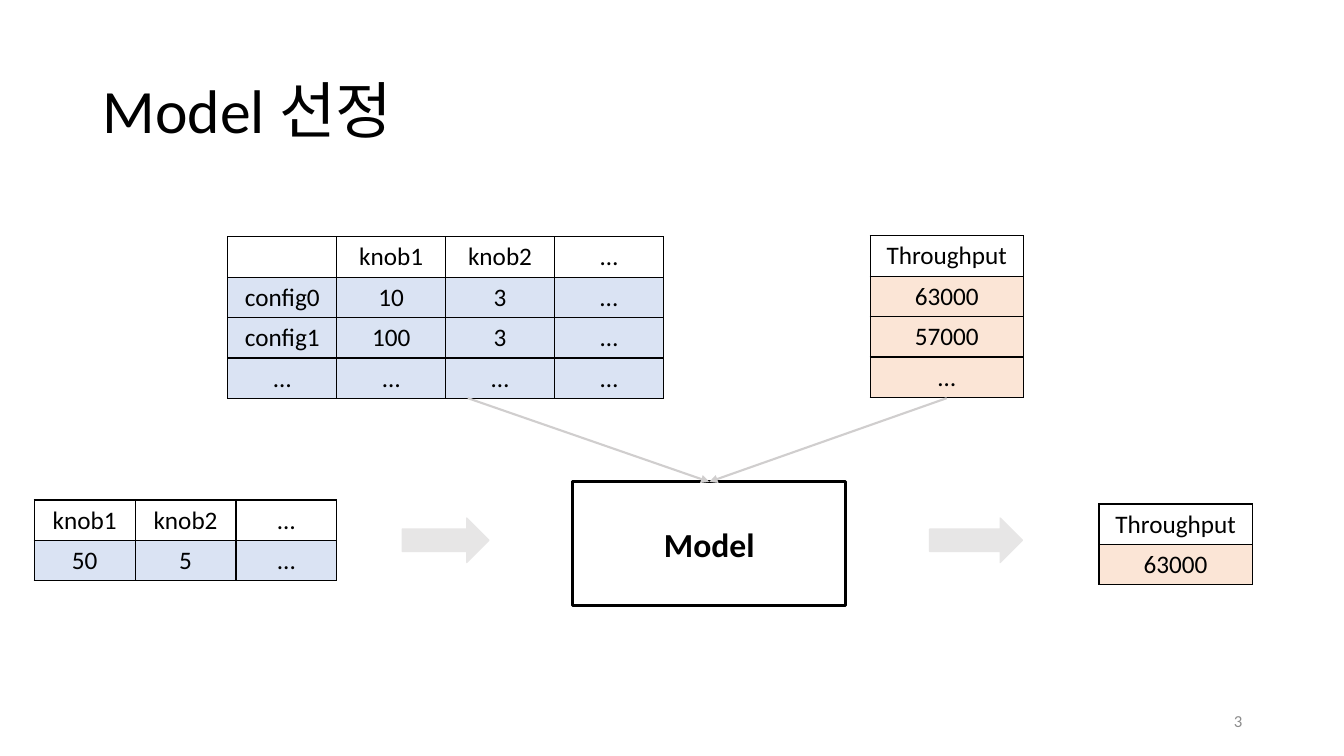
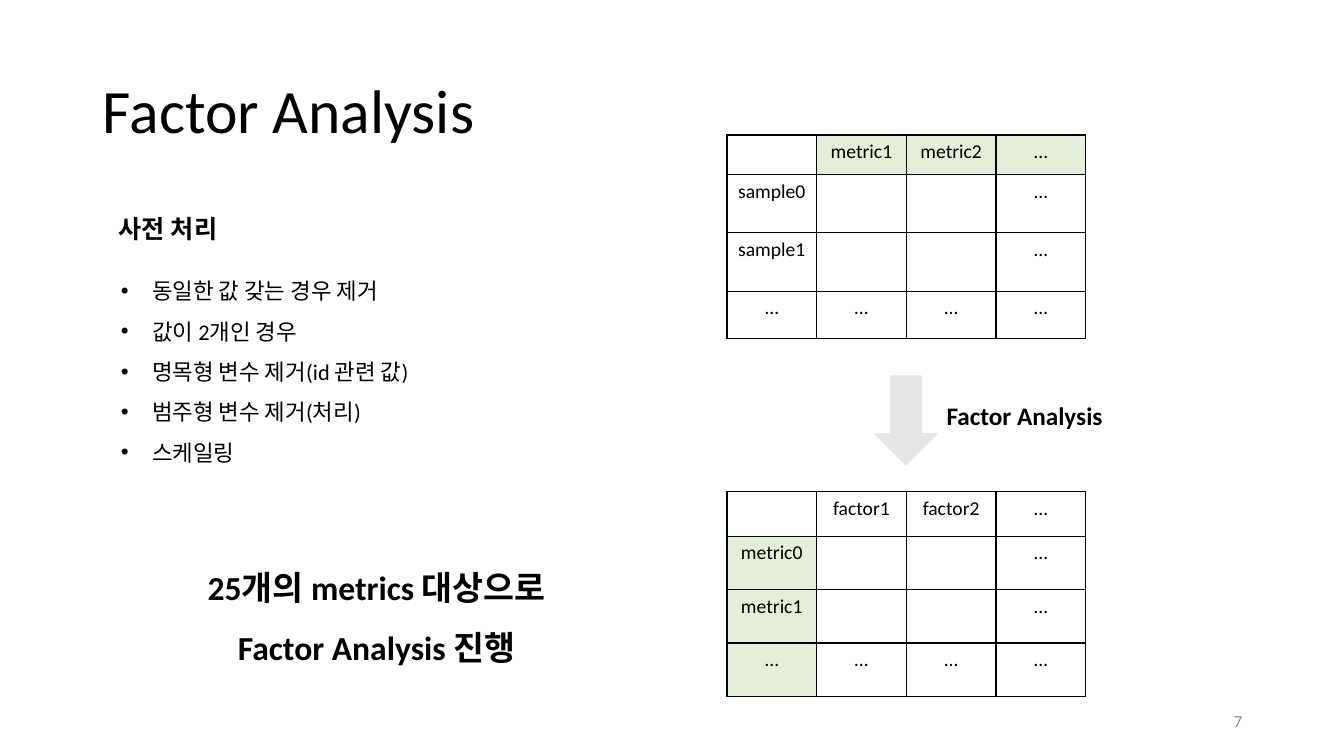
from lxml.etree import SubElement
from pptx import Presentation
from pptx.dml.color import RGBColor
from pptx.enum.shapes import MSO_CONNECTOR, MSO_SHAPE
from pptx.enum.text import MSO_ANCHOR as ANCHOR, MSO_AUTO_SIZE as AUTO, PP_ALIGN as ALIGN
from pptx.oxml.ns import qn
from pptx.util import Inches, Pt

FONT = "Calibri"
BLACK = RGBColor(0x00, 0x00, 0x00)
WHITE = RGBColor(0xFF, 0xFF, 0xFF)
BLUE = RGBColor(0xDA, 0xE3, 0xF3)
ORANGE = RGBColor(0xFB, 0xE5, 0xD6)
GREEN = RGBColor(0xE2, 0xF0, 0xD9)
ARROW_GREY = RGBColor(0xE7, 0xE6, 0xE6)
LINE_GREY = RGBColor(0xD0, 0xCE, 0xCE)
NUMBER_GREY = RGBColor(0x8C, 0x8C, 0x8C)


def style(p, size, color=BLACK, bold=False, align=ALIGN.LEFT, spacing=1.0):
    """Set the font and layout of a whole paragraph."""
    p.font.name, p.font.size, p.font.bold = FONT, Pt(size), bold
    p.font.color.rgb = color
    p.alignment, p.line_spacing = align, spacing


def place(shape, x, y, w, h):
    """Move a placeholder to a box given in inches."""
    shape.left, shape.top, shape.width, shape.height = map(Inches, (x, y, w, h))


def add_text(s, box, text, size, anchor=ANCHOR.TOP, **kwargs):
    """Add a wrapping text box with one paragraph."""
    tf = s.shapes.add_textbox(*map(Inches, box)).text_frame
    tf.word_wrap, tf.vertical_anchor = True, anchor
    tf.text = text
    style(tf.paragraphs[0], size, **kwargs)


def add_slide(prs, layout, title, number):
    """Start a slide with the shared title and page number."""
    s = prs.slides.add_slide(prs.slide_layouts[layout])
    place(s.shapes.title, 0.92, 0.4, 11.5, 1.45)
    tf = s.shapes.title.text_frame
    tf.text, tf.vertical_anchor = title, ANCHOR.MIDDLE
    style(tf.paragraphs[0], 44, spacing=0.9)
    add_text(s, (9.42, 6.95, 3, 0.4), str(number), 12, ANCHOR.MIDDLE,
             color=NUMBER_GREY, align=ALIGN.RIGHT)
    return s


def add_borders(cell):
    """Draw a thin black line on each side of a cell."""
    tcPr = cell._tc.get_or_add_tcPr()
    for side in ("a:lnL", "a:lnR", "a:lnT", "a:lnB"):
        ln = SubElement(tcPr, qn(side), w=str(Pt(1)))
        fill = SubElement(ln, qn("a:solidFill"))
        SubElement(fill, qn("a:srgbClr"), val=str(BLACK))


def add_grid(s, x, y, col_w, row_heights, rows, size, tint, is_tinted):
    """Add a bordered table, tinting the cells that is_tinted(row, col) picks."""
    n_cols = len(rows[0])
    box = map(Inches, (x, y, col_w * n_cols, sum(row_heights)))
    table = s.shapes.add_table(len(rows), n_cols, *box).table
    table.first_row = table.horz_banding = False
    for col in table.columns:
        col.width = Inches(col_w)
    for i, (height, texts) in enumerate(zip(row_heights, rows)):
        table.rows[i].height = Inches(height)
        for j, text in enumerate(texts):
            cell = table.cell(i, j)
            add_borders(cell)
            cell.fill.solid()
            cell.fill.fore_color.rgb = tint if is_tinted(i, j) else WHITE
            cell.text = text
            style(cell.text_frame.paragraphs[0], size, align=ALIGN.CENTER)


def add_data(s, x, y, col_w, rows, tint):
    """Add a model data table, tinted below its header row."""
    add_grid(s, x, y, col_w, [0.4] * len(rows), rows, 18, tint, lambda i, j: i > 0)


def add_box(s, kind, box, fill, line, width):
    """Add a flat preset shape."""
    shape = s.shapes.add_shape(kind, *map(Inches, box))
    shape.shadow.inherit = False
    shape.fill.solid()
    shape.fill.fore_color.rgb = fill
    shape.line.color.rgb, shape.line.width = line, Pt(width)
    return shape


def add_block_arrow(s, kind, *box):
    """Add a grey block arrow."""
    add_box(s, kind, box, ARROW_GREY, ARROW_GREY, 1)


def add_feed(s, x, y, target):
    """Draw an arrow from a point to the top of the target box."""
    start = Inches(x), Inches(y)
    line = s.shapes.add_connector(MSO_CONNECTOR.STRAIGHT, *start, *start)
    line.end_connect(target, 0)
    line.line.color.rgb, line.line.width = LINE_GREY, Pt(1.5)
    SubElement(line.line._get_or_add_ln(), qn("a:tailEnd"), type="triangle")
    SubElement(line._element.spPr, qn("a:effectLst"))


def build_model(prs):
    """Build the slide on choosing a model."""
    s = add_slide(prs, 5, "Model 선정", 3)
    add_data(s, 2.26, 2.35, 1.08, [
        ["", "knob1", "knob2", "…"],
        ["config0", "10", "3", "..."],
        ["config1", "100", "3", "…"],
        ["…"] * 4], BLUE)
    add_data(s, 8.63, 2.34, 1.52, [["Throughput"], ["63000"], ["57000"], ["…"]], ORANGE)
    model = add_box(s, MSO_SHAPE.RECTANGLE, (5.68, 4.78, 2.71, 1.23), WHITE, BLACK, 2)
    tf = model.text_frame
    tf.text, tf.vertical_anchor = "Model", ANCHOR.MIDDLE
    style(tf.paragraphs[0], 24, bold=True, align=ALIGN.CENTER)
    add_block_arrow(s, MSO_SHAPE.RIGHT_ARROW, 3.99, 5.14, 0.86, 0.44)
    add_block_arrow(s, MSO_SHAPE.RIGHT_ARROW, 9.22, 5.14, 0.92, 0.44)
    add_data(s, 0.34, 4.96, 1, [["knob1", "knob2", "…"], ["50", "5", "..."]], BLUE)
    add_data(s, 10.9, 5, 1.52, [["Throughput"], ["63000"]], ORANGE)
    for x in (4.64, 9.39):
        add_feed(s, x, 3.95, model)


def add_steps(s, box, steps):
    """Fill the body placeholder with a bulleted list."""
    body = s.placeholders[1]
    place(body, *box)
    tf = body.text_frame
    tf.text = "\n".join(steps)
    tf.auto_size, tf.word_wrap = AUTO.NONE, True
    for p in tf.paragraphs:
        style(p, 16, spacing=1.5)
        p.space_before = Pt(0)
        pPr = p._p.get_or_add_pPr()
        pPr.set("marL", str(Inches(0.31)))
        pPr.set("indent", str(Inches(-0.31)))


def build_factors(prs):
    """Build the slide on factor analysis."""
    s = add_slide(prs, 1, "Factor Analysis", 7)
    add_grid(s, 7.21, 1.34, 0.89, [0.39, 0.58, 0.58, 0.47], [
        ["", "metric1", "metric2", "…"],
        ["sample0", "", "", "…"],
        ["sample1", "", "", "…"],
        ["…"] * 4], 14, GREEN, lambda i, j: i == 0 and j > 0)
    add_block_arrow(s, MSO_SHAPE.DOWN_ARROW, 8.68, 3.73, 0.61, 0.88)
    add_grid(s, 7.21, 4.88, 0.89, [0.44, 0.53, 0.53, 0.53], [
        ["", "factor1", "factor2", "…"],
        ["metric0", "", "", "…"],
        ["metric1", "", "", "…"],
        ["…"] * 4], 14, GREEN, lambda i, j: i > 0 and j == 0)
    add_text(s, (1.08, 2.07, 1.76, 0.4), "사전 처리", 18, bold=True)
    add_steps(s, (1.1, 2.57, 3.92, 2.08), [
        "동일한 값 갖는 경우 제거",
        "값이 2개인 경우",
        "명목형 변수 제거(id 관련 값)",
        "범주형 변수 제거(처리)",
        "스케일링"])
    add_text(s, (1.53, 5.37, 4.41, 1.25), "25개의 metrics 대상으로 Factor Analysis 진행", 24,
             bold=True, align=ALIGN.CENTER, spacing=1.5)
    add_text(s, (9.29, 3.92, 2.25, 0.4), "Factor Analysis", 18, bold=True)


def main():
    """Build and save the presentation."""
    prs = Presentation()
    prs.slide_width, prs.slide_height = Inches(13.33), Inches(7.5)
    build_model(prs)
    build_factors(prs)
    prs.save("out.pptx")


if __name__ == "__main__":
    main()
